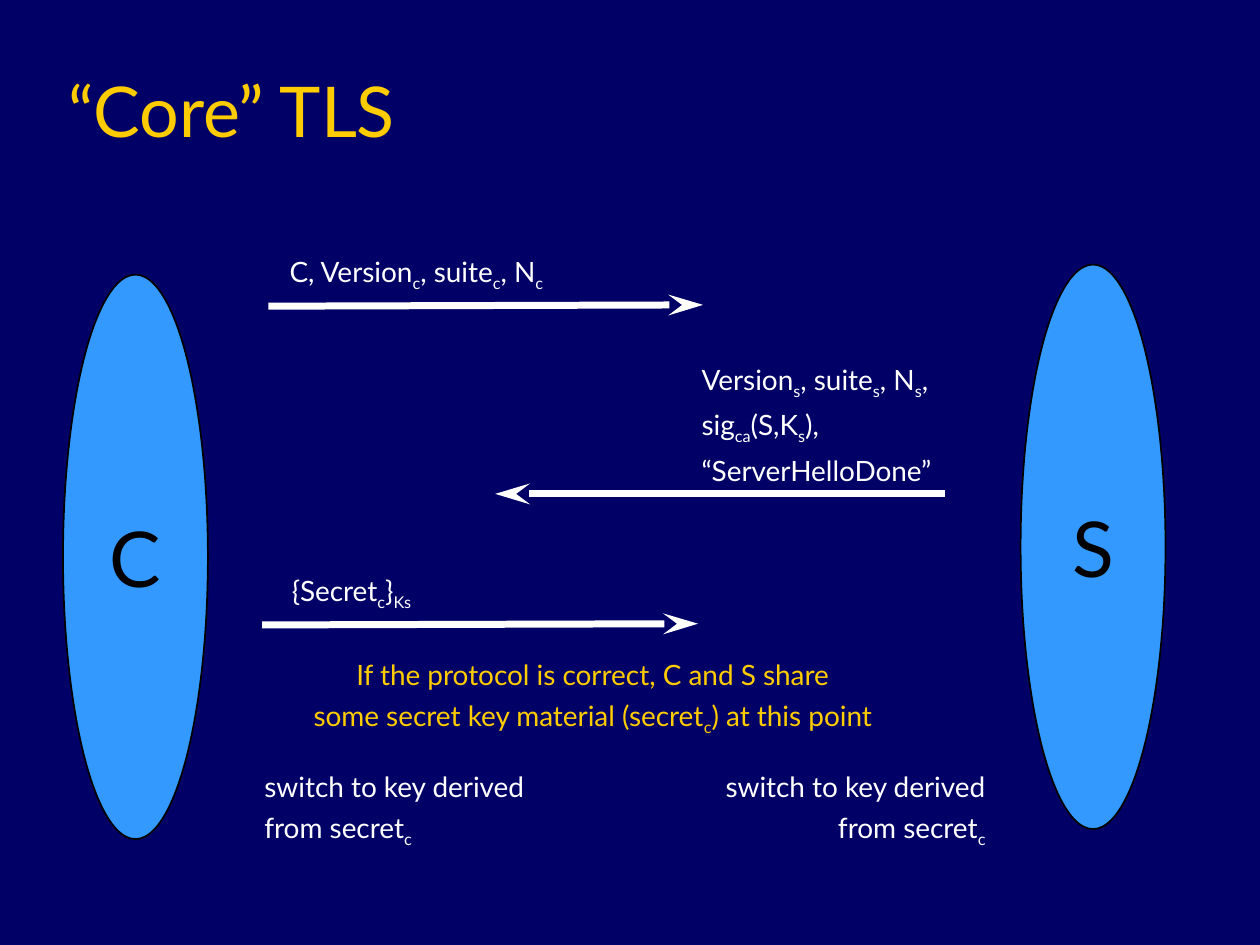
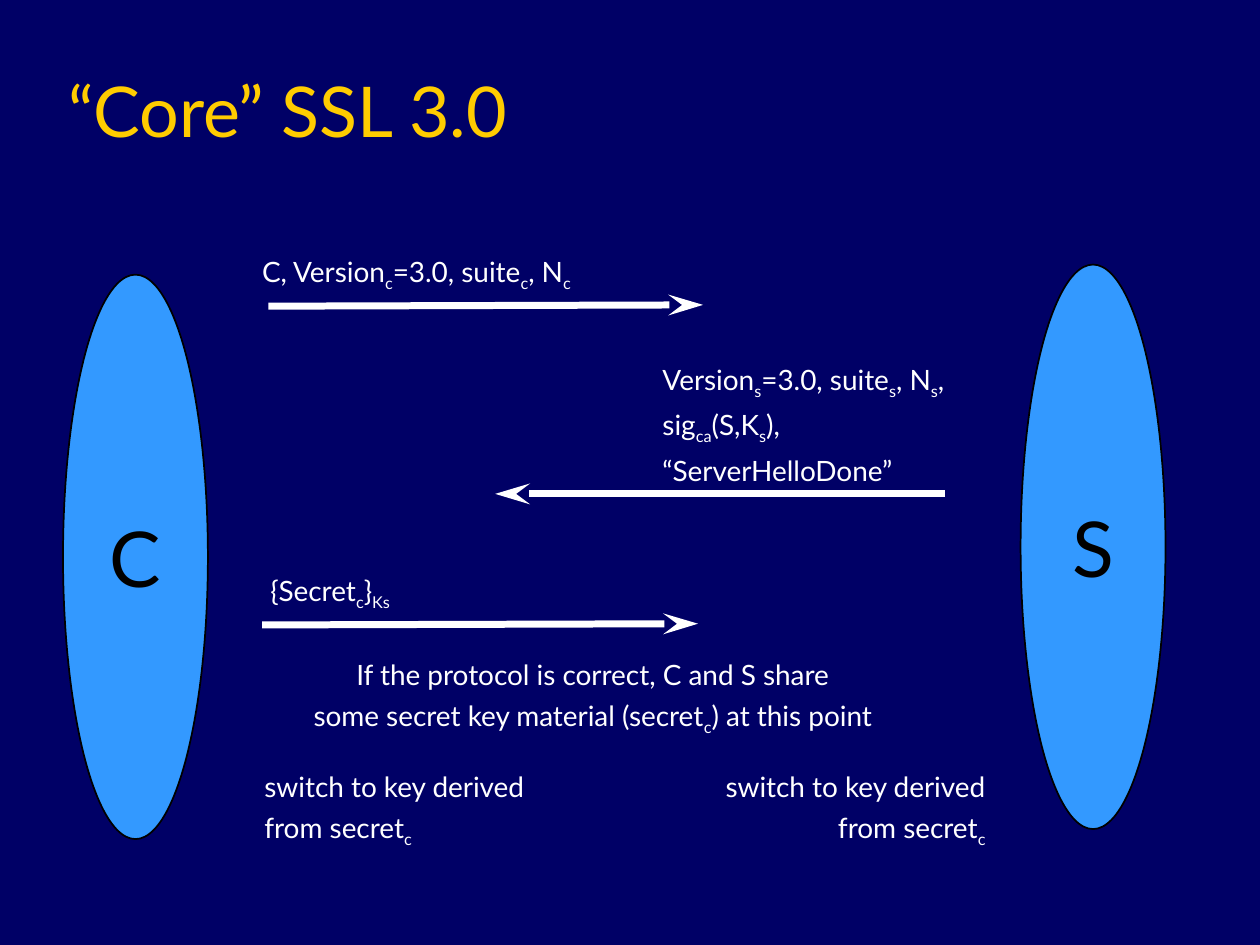
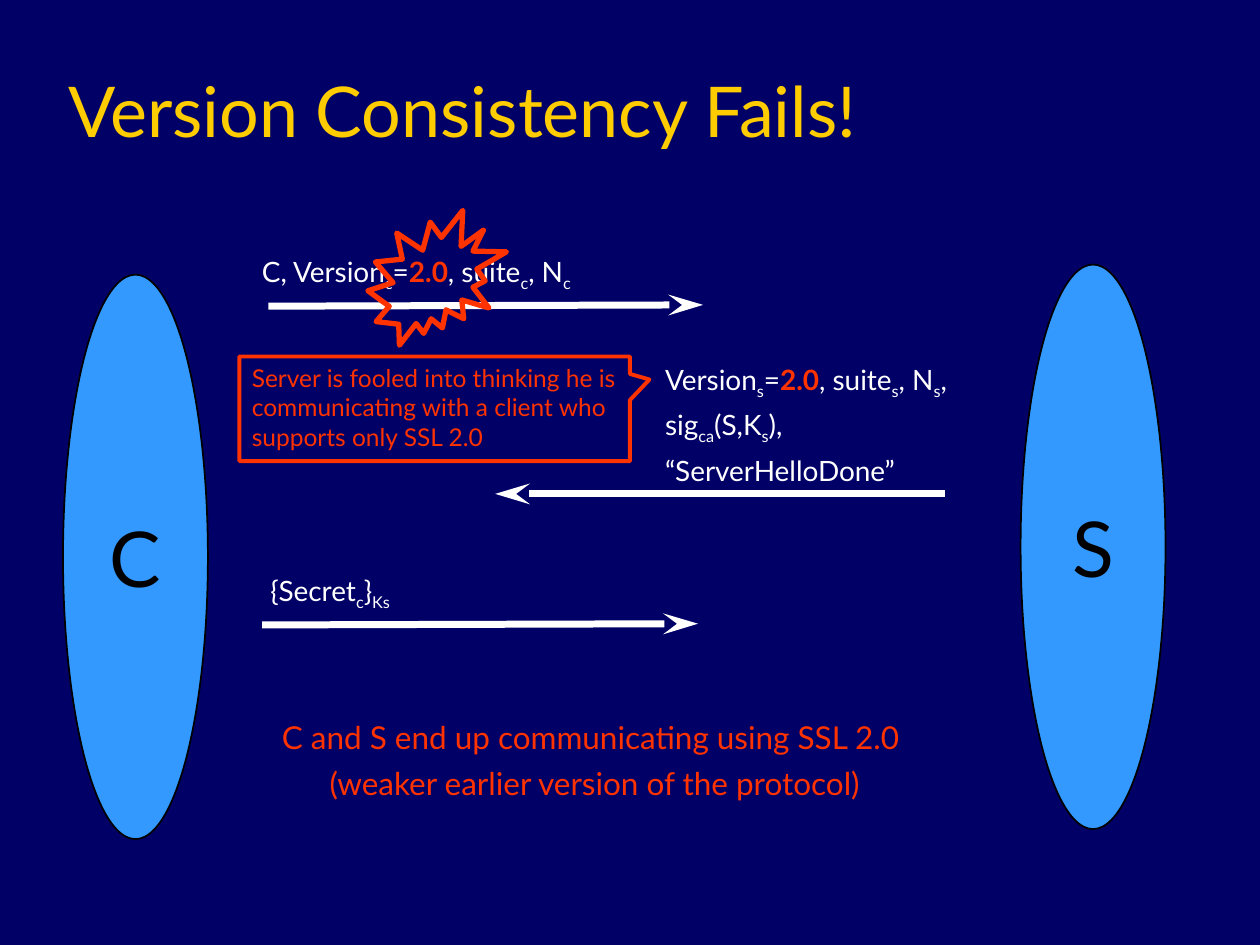
from lxml.etree import SubElement
from pptx import Presentation
from pptx.dml.color import RGBColor
from pptx.enum.shapes import MSO_CONNECTOR as Connector, MSO_SHAPE as Shape
from pptx.enum.text import MSO_ANCHOR as Anchor, MSO_AUTO_SIZE as AutoSize, PP_ALIGN as Align
from pptx.oxml.ns import qn
from pptx.util import Inches, Pt

FONT = "Lato"
COLORS = {name: RGBColor.from_string(value) for name, value in {
    "background": "000066",
    "title": "FFCC00",
    "text": "FFFFFF",
    "party": "3399FF",
    "outline": "000000",
    "alert": "FF3300",
}.items()}

# In message text, "|" separates runs, "_" marks a subscript and "*" a bold alert.
SERVER_LINES = ["sig|_ca|(S,K|_s|),", "“ServerHelloDone”"]
SWITCH_LINES = ["switch to key derived", "from secret|_c"]
SHARED_SECRET_LINES = [
    "If the protocol is correct, C and S share",
    "some secret key material (secret|_c|) at this point",
]
PARTIES = [("C", 0.5, 2.18), ("S", 8.1, 2.1)]
ARROWS = [
    (2.13, 2.43, 5.58, 2.42),
    (7.5, 3.92, 3.93, 3.92),
    (2.08, 4.96, 5.54, 4.95),
]
# Title, version text, then left and width of the hello, reply and secret messages.
SLIDES = [
    ("“Core” TLS", "", (2.14, 2.33), (5.47, 2.13), (2.18, 1.22)),
    ("“Core” SSL 3.0", "=3.0", (1.92, 2.77), (5.16, 2.57), (2.01, 1.22)),
    ("Version Consistency Fails!", "=|*2.0|", (1.92, 2.77), (5.18, 2.58), (2.01, 1.22)),
]


def write_lines(frame, lines, size=16, color="text", align=Align.LEFT, space=0):
    """Fill a text frame with one paragraph per line of marked-up text."""
    for index, line in enumerate(lines):
        paragraph = frame.paragraphs[0] if index == 0 else frame.add_paragraph()
        paragraph.alignment = align
        paragraph.space_before = Pt(space)
        for piece in line.split("|"):
            run = paragraph.add_run()
            run.text = piece.lstrip("_*")
            font = run.font
            font.name, font.size = FONT, Pt(size)
            font.color.rgb = COLORS["alert" if piece.startswith("*") else color]
            if piece.startswith("*"):
                font.bold = True
            if piece.startswith("_"):
                run._r.get_or_add_rPr().set("baseline", "-25000")


def add_message(slide, left, top, width, height, lines, **style):
    box = slide.shapes.add_textbox(Inches(left), Inches(top), Inches(width), Inches(height))
    box.text_frame.word_wrap = False
    box.text_frame.auto_size = AutoSize.SHAPE_TO_FIT_TEXT
    write_lines(box.text_frame, lines, **{"space": 4, **style})


presentation = Presentation()
presentation.slide_width, presentation.slide_height = Inches(10), Inches(7.5)
background = presentation.slide_master.background.fill
background.solid()
background.fore_color.rgb = COLORS["background"]
title_only = presentation.slide_layouts.get_by_name("Title Only")

for title_text, version, hello, reply, secret in SLIDES:
    slide = presentation.slides.add_slide(title_only)

    title = slide.shapes.title
    title.left, title.top = Inches(0.44), Inches(0.25)
    title.width, title.height = Inches(8.5), Inches(1)
    title.text_frame.vertical_anchor = Anchor.BOTTOM
    title.text_frame.auto_size = AutoSize.NONE
    write_lines(title.text_frame, [title_text], 40, "title")

    for name, left, top in PARTIES:
        party = slide.shapes.add_shape(
            Shape.OVAL, Inches(left), Inches(top), Inches(1.15), Inches(4.48))
        party.shadow.inherit = False
        party.fill.solid()
        party.fill.fore_color.rgb = COLORS["party"]
        party.line.color.rgb = COLORS["outline"]
        party.line.width = Pt(1)
        party.text_frame.word_wrap = False
        party.text_frame.vertical_anchor = Anchor.MIDDLE
        write_lines(party.text_frame, [name], 44, "outline", Align.CENTER, 11)

    for ends in ARROWS:
        arrow = slide.shapes.add_connector(Connector.STRAIGHT, *map(Inches, ends))
        arrow.line.color.rgb = COLORS["text"]
        arrow.line.width = Pt(4)
        SubElement(arrow.line._get_or_add_ln(), qn("a:tailEnd"),
                   type="stealth", w="med", len="lg")
        SubElement(arrow._element.spPr, qn("a:effectLst"))

    add_message(slide, hello[0], 1.97, hello[1], 0.41,
                [f"C, Version|_c|{version}, suite|_c|, N|_c"], align=Align.CENTER)
    add_message(slide, reply[0], 2.83, reply[1], 1.09,
                [f"Version|_s|{version}, suite|_s|, N|_s|,", *SERVER_LINES])
    add_message(slide, secret[0], 4.5, secret[1], 0.41,
                ["{Secret|_c|}|_Ks"], align=Align.CENTER)

core_tls, core_ssl, version_failure = presentation.slides

for slide, color in [(core_tls, "title"), (core_ssl, "text")]:
    add_message(slide, 2.21, 5.17, 4.99, 0.73, SHARED_SECRET_LINES,
                color=color, align=Align.CENTER)
    add_message(slide, 2, 6.06, 2.39, 0.73, SWITCH_LINES)
    add_message(slide, 5.53, 6.06, 2.39, 0.73, SWITCH_LINES, align=Align.RIGHT)

add_message(version_failure, 1.96, 5.65, 5.52, 0.77,
            ["C and S end up communicating using SSL 2.0 ",
             "(weaker earlier version of the protocol)"],
            size=18, color="alert", align=Align.CENTER, space=4.5)

burst = version_failure.shapes.add_shape(
    Shape.EXPLOSION2, Inches(2.92), Inches(1.67), Inches(1.1), Inches(1.07))
callout = version_failure.shapes.add_shape(
    Shape.RECTANGULAR_CALLOUT, Inches(1.9), Inches(2.83), Inches(3.1), Inches(0.83))
for shape, line_width in [(burst, 3), (callout, 2.25)]:
    shape.shadow.inherit = False
    shape.fill.background()
    shape.line.color.rgb = COLORS["alert"]
    shape.line.width = Pt(line_width)
callout.adjustments[0], callout.adjustments[1] = 0.55, -0.28
callout.text_frame.word_wrap = True
callout.text_frame.vertical_anchor = Anchor.TOP
write_lines(callout.text_frame,
            ["Server is fooled into thinking he is communicating "
             "with a client who supports only SSL 2.0"],
            14, "alert", space=3.5)

presentation.save("out.pptx")
